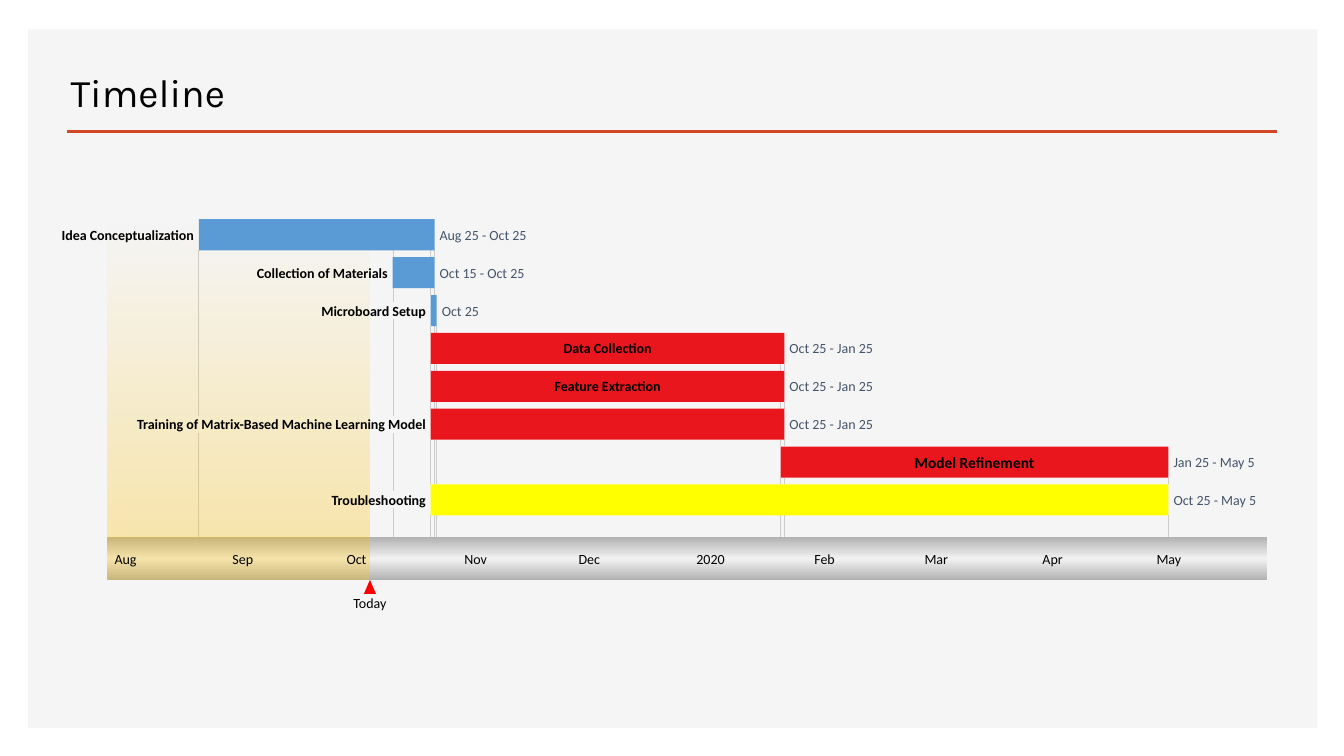
from itertools import accumulate
from lxml.etree import SubElement
from pptx import Presentation
from pptx.dml.color import RGBColor
from pptx.enum.shapes import MSO_CONNECTOR, MSO_SHAPE
from pptx.enum.text import MSO_ANCHOR, MSO_AUTO_SIZE, PP_ALIGN
from pptx.oxml.ns import qn
from pptx.util import Inches, Pt

WIDTH, HEIGHT = 13.33, 7.5
COLORS = {
    "panel": "F5F5F5", "rule": "D24726", "drop": "CCCCCC", "axis_edge": "B2B2B2",
    "axis_middle": "F2F2F2", "elapsed": "FFC000", "marker": "FF0000", "done": "5B9BD5",
    "active": "EA161E", "ongoing": "FFFF00", "date": "44546A", "text": "000000",
}
ALIGN = {"left": PP_ALIGN.LEFT, "center": PP_ALIGN.CENTER, "right": PP_ALIGN.RIGHT}

# Calendar: August to May, 305 days
MONTHS = ["Aug", "Sep", "Oct", "Nov", "Dec", "Jan", "Feb", "Mar", "Apr", "May"]
MONTH_DAYS = [31, 30, 31, 30, 31, 31, 29, 31, 30, 31]
MONTH_STARTS = dict(zip(MONTHS, accumulate([0] + MONTH_DAYS)))
TOTAL_DAYS = sum(MONTH_DAYS)
TODAY = "Oct 9"

# Name, first day, last day, colour, label width (None: label inside the bar), text size
TASKS = [
    ("Idea Conceptualization", "Aug 25", "Oct 25", "done", 1.32, 10),
    ("Collection of Materials", "Oct 15", "Oct 25", "done", 1.31, 10),
    ("Microboard Setup", "Oct 25", "Oct 25", "done", 1.1, 10),
    ("Data Collection", "Oct 25", "Jan 25", "active", None, 10),
    ("Feature Extraction", "Oct 25", "Jan 25", "active", None, 10),
    ("Training of Matrix-Based Machine Learning Model", "Oct 25", "Jan 25",
     "active", 2.99, 10),
    ("Model Refinement", "Jan 25", "May 5", "active", None, 11),
    ("Troubleshooting", "Oct 25", "May 5", "ongoing", 0.94, 10),
]

# Row grid, in rows of the chart
AXIS_ROW, AXIS_ROWS, BAR_ROWS = 8.4, 1.12, 0.82
LABEL_HEIGHT, GAP, MIN_BAR = 0.17, 0.05, 0.06


def rgb(name):
    return RGBColor.from_string(COLORS[name])


def day_number(date):
    month, day = date.split()
    return MONTH_STARTS[month] + int(day) - 1


def add_block(page, box, color, kind=MSO_SHAPE.RECTANGLE, opacity=None):
    block = page.shapes.add_shape(kind, *map(Inches, box))
    block.shadow.inherit = False
    block.fill.solid()
    block.fill.fore_color.rgb = rgb(color)
    block.line.fill.background()
    if opacity is not None:
        tint = block.element.spPr.find(".//" + qn("a:srgbClr"))
        SubElement(tint, qn("a:alpha"), val=str(opacity * 1000))
    return block


def set_gradient(block, stops):
    """Top-to-bottom gradient from (position, colour, opacity) stops in percent."""
    block.fill.gradient()
    block.fill.gradient_angle = 270
    stop_list = block.element.spPr.find(".//" + qn("a:gsLst"))
    stop_list.clear()
    for position, color, opacity in stops:
        stop = SubElement(stop_list, qn("a:gs"), pos=str(position * 1000))
        tint = SubElement(stop, qn("a:srgbClr"), val=COLORS[color])
        if opacity < 100:
            SubElement(tint, qn("a:alpha"), val=str(opacity * 1000))


def add_line(page, start, end, color, weight):
    line = page.shapes.add_connector(MSO_CONNECTOR.STRAIGHT, *map(Inches, start + end))
    line.line.color.rgb = rgb(color)
    line.line.width = Pt(weight)
    SubElement(line.element.spPr, qn("a:effectLst"))


def write(frame, text, size=10, color="text", bold=False, align="left", font="Calibri"):
    para = frame.paragraphs[0]
    para.alignment = ALIGN[align]
    span = para.add_run()
    span.text = text
    span.font.name, span.font.size, span.font.bold = font, Pt(size), bold
    span.font.color.rgb = rgb(color)


def add_label(page, box, text, **style):
    frame = page.shapes.add_textbox(*map(Inches, box)).text_frame
    frame.word_wrap = True
    frame.vertical_anchor = MSO_ANCHOR.MIDDLE
    frame.margin_left = frame.margin_right = frame.margin_top = frame.margin_bottom = 0
    write(frame, text, **style)


def add_header(page, box):
    left, top, width, height = box
    add_block(page, (WIDTH * 0.021, HEIGHT * 0.039, WIDTH * 0.959, HEIGHT * 0.924), "panel")
    rule_y = top + height * 0.97
    add_line(page, (left + 0.06, rule_y), (left + width, rule_y), "rule", 2)
    title = page.shapes.title
    title.element.getparent().append(title.element)  # in front of the panel
    title.left, title.top = Inches(left), Inches(top)
    title.width, title.height = Inches(width * 0.71), Inches(height)
    title.text_frame.auto_size = MSO_AUTO_SIZE.NONE
    title.text_frame.vertical_anchor = MSO_ANCHOR.TOP
    write(title.text_frame, "Timeline", size=28, font="Karla")


def add_drop_lines(page, bars, axis_y):
    """Drop each bar's ends to the axis, broken by the bars and labels below."""
    for x in sorted({round(edge, 2) for bar in bars for edge in bar[:2]}):
        y = None
        for left, right, top, bottom, label_width in bars:
            middle = (top + bottom) / 2
            if left - 0.01 <= x <= right + 0.01:
                stop, resume = top, bottom
            elif label_width and left - GAP - label_width <= x < left:
                stop, resume = middle - LABEL_HEIGHT / 2, middle + LABEL_HEIGHT / 2
                if y is None:
                    continue
            else:
                continue
            if y is not None:
                add_line(page, (x, y), (x, stop), "drop", 0.6)
            y = resume
        add_line(page, (x, y), (x, axis_y), "drop", 0.6)


def add_axis(page, box, today_x):
    left, top, width, height = box
    axis = add_block(page, box, "axis_middle")
    set_gradient(axis, [(0, "axis_edge", 100), (50, "axis_middle", 100),
                        (100, "axis_edge", 100)])
    add_block(page, (left, top, today_x - left, height), "elapsed", opacity=30)
    # Today marker
    bottom = top + height
    add_block(page, (today_x - 0.06, bottom, 0.12, 0.14), "marker",
              MSO_SHAPE.ISOSCELES_TRIANGLE)
    add_label(page, (today_x - 0.2, bottom + 0.14, 0.4, LABEL_HEIGHT), "Today",
              align="center")
    # Month names
    for month in MONTHS:
        x = left + width * MONTH_STARTS[month] / TOTAL_DAYS + 0.07
        add_label(page, (x, top + (height - LABEL_HEIGHT) / 2, 0.35, LABEL_HEIGHT),
                  "2020" if month == "Jan" else month)


def add_task(page, bar, task):
    left, right, top, bottom, label_width = bar
    name, first, last, color, _, size = task
    add_block(page, (left, top, right - left, bottom - top), color)
    label_top = (top + bottom - LABEL_HEIGHT) / 2
    if label_width:
        label = (left - GAP - label_width - 0.1, label_top, label_width + 0.1, LABEL_HEIGHT)
    else:
        label = (left, label_top, right - left, LABEL_HEIGHT)
    add_label(page, label, name, size=size, bold=True,
              align="right" if label_width else "center")
    dates = first if first == last else f"{first} - {last}"
    add_label(page, (right + GAP, label_top, 0.95, LABEL_HEIGHT), dates, color="date")


def add_gantt(page, box):
    left, top, width, height = box
    day, row = width / TOTAL_DAYS, height / (AXIS_ROW + AXIS_ROWS)
    axis_y = top + AXIS_ROW * row
    today_x = left + day_number(TODAY) * day
    bars = []
    for index, (_, first, last, _, label_width, _) in enumerate(TASKS):
        start = left + day_number(first) * day
        end = max(left + (day_number(last) + 1) * day, start + MIN_BAR)
        bar_top = top + index * row
        bars.append((start, end, bar_top, bar_top + BAR_ROWS * row, label_width))
    add_drop_lines(page, bars, axis_y)
    add_axis(page, (left, axis_y, width, AXIS_ROWS * row), today_x)
    # Elapsed time shading
    shade = add_block(page, (left, top, today_x - left, axis_y - top), "elapsed")
    set_gradient(shade, [(0, "elapsed", 0), (100, "elapsed", 30)])
    for bar, task in zip(bars, TASKS):
        add_task(page, bar, task)


deck = Presentation()
deck.slide_width, deck.slide_height = Inches(WIDTH), Inches(HEIGHT)
page = deck.slides.add_slide(deck.slide_layouts[5])
add_header(page, (WIDTH * 0.045, HEIGHT * 0.084, WIDTH * 0.905, HEIGHT * 0.093))
add_gantt(page, (WIDTH * 0.08, HEIGHT * 0.29, WIDTH * 0.863, HEIGHT * 0.477))
deck.save("out.pptx")
